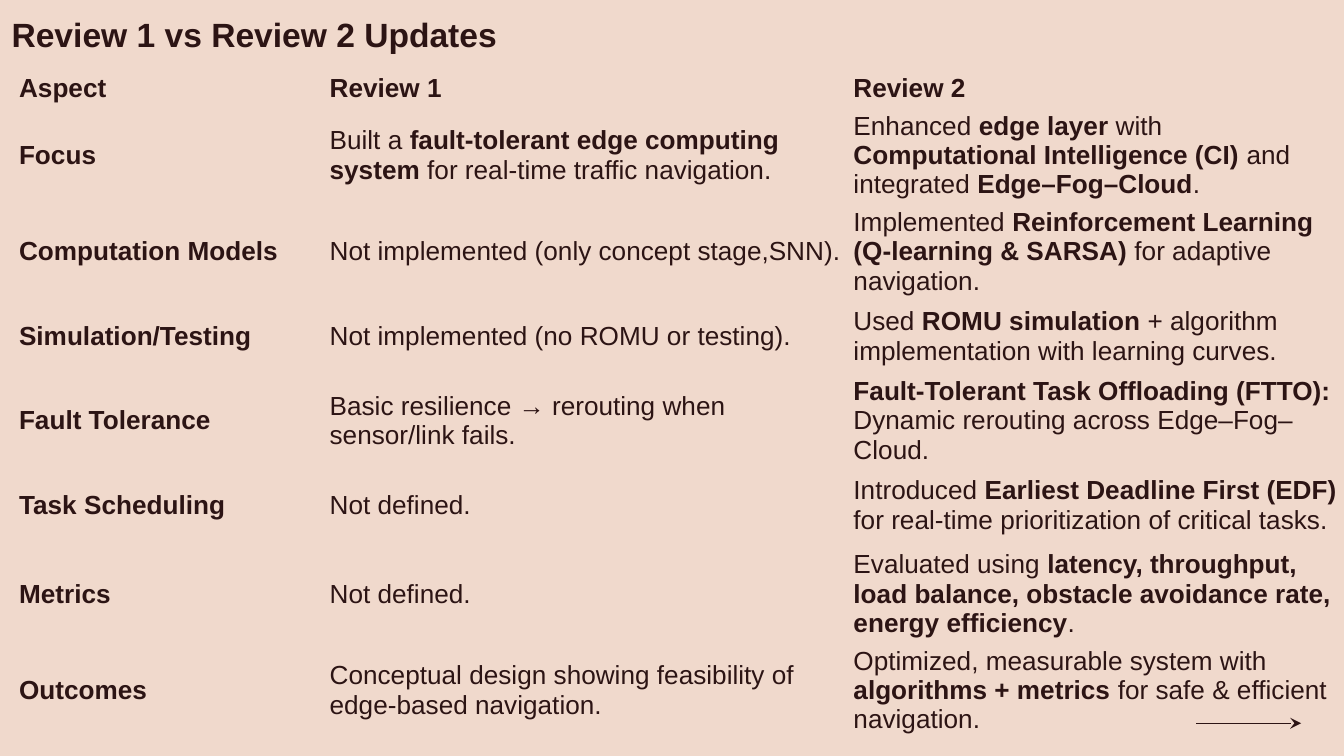
from lxml import etree
from pptx import Presentation
from pptx import util as u
from pptx.dml.color import RGBColor
from pptx.enum import shapes, text
from pptx.oxml import ns

COLORS = {"background": "F0D9CC", "ink": "2C1414"}
FONT = "Arial"
NO_STYLE = "{2D5ABB26-0587-4C30-8999-92F81FD0307C}"

TITLE = "**Review 1 vs Review 2 Updates**"
HEADER = ("**Aspect**", "**Review 1**", "**Review 2**")
REVIEWS = [
    ("**Focus**",
     "Built a **fault-tolerant edge computing system** for real-time traffic navigation.",
     "Enhanced **edge layer** with **Computational Intelligence (CI)** and integrated **Edge–Fog–Cloud**."),
    ("**Computation Models**",
     "Not implemented (only concept stage,SNN).",
     "Implemented **Reinforcement Learning (Q-learning & SARSA)** for adaptive navigation."),
    ("**Simulation/Testing**",
     "Not implemented (no ROMU or testing).",
     "Used **ROMU simulation** + algorithm implementation with learning curves."),
    ("**Fault Tolerance**",
     "Basic resilience → rerouting when sensor/link fails.",
     "**Fault-Tolerant Task Offloading (FTTO):** Dynamic rerouting across Edge–Fog–Cloud."),
    ("**Task Scheduling**",
     "Not defined.",
     "Introduced **Earliest Deadline First (EDF)** for real-time prioritization of critical tasks."),
    ("**Metrics**",
     "Not defined.",
     "Evaluated using **latency, throughput, load balance, obstacle avoidance rate, energy efficiency**."),
    ("**Outcomes**",
     "Conceptual design showing feasibility of edge-based navigation.",
     "Optimized, measurable system with **algorithms + metrics** for safe & efficient navigation."),
]
COLUMN_WIDTHS = (5.87, 9.9, 9.37)
ROW_HEIGHTS = (0.61, 1.9, 1.65, 1.45, 1.65, 1.45, 1.9, 1.65)


def write_text(frame, content, size, color=COLORS["ink"], font=FONT):
    frame.word_wrap = True
    paragraph = frame.paragraphs[0]
    for index, part in enumerate(content.split("**")):
        if part:
            run = paragraph.add_run()
            run.text = part
            run.font.name = font
            run.font.size = u.Pt(size)
            run.font.bold = index % 2 == 1
            run.font.color.rgb = RGBColor.from_string(color)


def add_review_table(slide, rows):
    frame = slide.shapes.add_table(
        len(rows), len(COLUMN_WIDTHS), u.Cm(0.28), u.Cm(1.35),
        u.Cm(sum(COLUMN_WIDTHS)), u.Cm(sum(ROW_HEIGHTS)))
    table = frame.table
    table.horz_banding = False
    table._tbl.tblPr.find(ns.qn("a:tableStyleId")).text = NO_STYLE
    for column, width in zip(table.columns, COLUMN_WIDTHS):
        column.width = u.Cm(width)
    for row, height, contents in zip(table.rows, ROW_HEIGHTS, rows):
        row.height = u.Cm(height)
        for cell, content in zip(row.cells, contents):
            cell.fill.background()
            cell.margin_left = cell.margin_right = u.Cm(0.08)
            cell.margin_top = cell.margin_bottom = u.Cm(0.04)
            cell.vertical_anchor = text.MSO_ANCHOR.MIDDLE
            write_text(cell.text_frame, content, size=14)


def add_arrow(slide, left, right, top):
    arrow = slide.shapes.add_connector(
        shapes.MSO_CONNECTOR.STRAIGHT, u.Cm(left), u.Cm(top), u.Cm(right), u.Cm(top))
    arrow.line.color.rgb = RGBColor.from_string(COLORS["ink"])
    arrow.line.width = u.Pt(0.75)
    etree.SubElement(arrow.line._get_or_add_ln(), ns.qn("a:tailEnd"), type="stealth")
    etree.SubElement(arrow._element.spPr, ns.qn("a:effectLst"))


def main():
    presentation = Presentation()
    presentation.slide_width = u.Cm(25.4)
    presentation.slide_height = u.Cm(14.29)
    slide = presentation.slides.add_slide(presentation.slide_layouts[6])
    slide.background.fill.solid()
    slide.background.fill.fore_color.rgb = RGBColor.from_string(COLORS["background"])

    add_arrow(slide, left=22.61, right=24.59, top=13.67)
    add_review_table(slide, [HEADER, *REVIEWS])
    title = slide.shapes.add_textbox(u.Cm(-0.03), u.Cm(0.13), u.Cm(12.73), u.Cm(1.02))
    title.text_frame.auto_size = text.MSO_AUTO_SIZE.SHAPE_TO_FIT_TEXT
    write_text(title.text_frame, TITLE, size=18)

    presentation.save("out.pptx")


if __name__ == "__main__":
    main()
